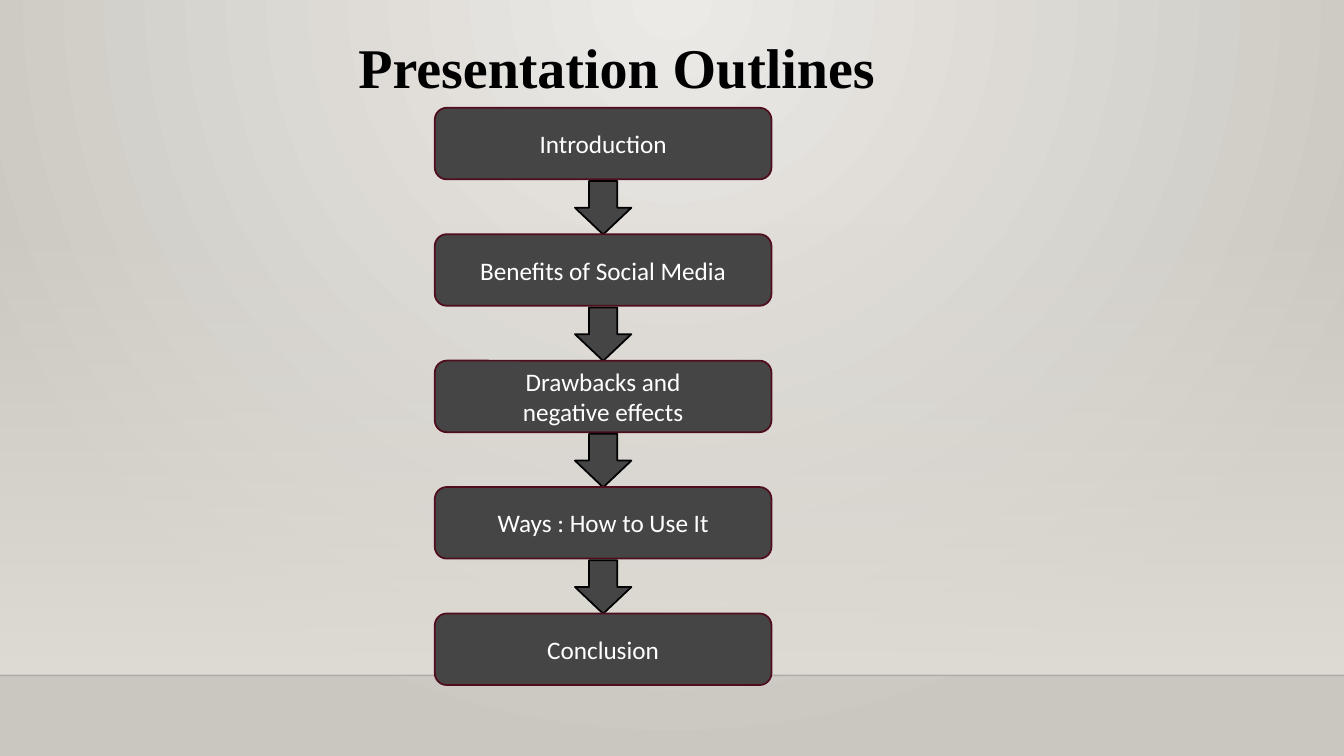
from lxml import etree
from pptx import Presentation
from pptx.dml.color import RGBColor
from pptx.enum.shapes import MSO_CONNECTOR, MSO_SHAPE
from pptx.enum.text import MSO_ANCHOR, PP_ALIGN
from pptx.oxml import parse_xml
from pptx.oxml.ns import qn
from pptx.util import Pt

TITLE = "Presentation Outlines"
STEPS = [
    ["Introduction"],
    ["Benefits of Social Media"],
    ["Drawbacks and", "negative effects"],
    ["Ways : How to Use It"],
    ["Conclusion"],
]

THEME = {
    "title_font": "Times New Roman",
    "step_font": "Calibri",
    "title_size": 40,
    "step_size": 18,
    "outline": 1.25,
    "title": "000000",
    "step_text": "FFFFFF",
    "step_fill": "454545",
    "step_line": "500D1D",
    "arrow_line": "000000",
    "floor_line": "000001",
    "wall": "DFDBD5",
    "backdrop": ("ECEAE7", "CAC7C1"),
}

RECTANGLE = MSO_SHAPE.RECTANGLE
ROUNDED = MSO_SHAPE.ROUNDED_RECTANGLE
DOWN_ARROW = MSO_SHAPE.DOWN_ARROW
STRAIGHT = MSO_CONNECTOR.STRAIGHT
MIDDLE = MSO_ANCHOR.MIDDLE
CENTER = PP_ALIGN.CENTER
LEFT = PP_ALIGN.LEFT

SLIDE_WIDTH, SLIDE_HEIGHT = 960, 540
WALL_TOP, FLOOR_TOP = 159, 482.4
STEP_LEFT, STEP_TOP = 310.6, 77
STEP_WIDTH, STEP_HEIGHT = 240.5, 51.1
STEP_PITCH = 90.3
ARROW_WIDTH, ARROW_HEIGHT, ARROW_OFFSET = 40.3, 38.2, 52.3
NAMESPACES = (
    'xmlns:a="http://schemas.openxmlformats.org/drawingml/2006/main" '
    'xmlns:p="http://schemas.openxmlformats.org/presentationml/2006/main"'
)


def gradient(stops, direction):
    stop_xml = "".join(
        f'<a:gs pos="{position}"><a:srgbClr val="{color}">'
        f'<a:alpha val="{alpha}"/></a:srgbClr></a:gs>'
        for position, color, alpha in stops
    )
    return (f'<a:gradFill {NAMESPACES} rotWithShape="1">'
            f"<a:gsLst>{stop_xml}</a:gsLst>{direction}</a:gradFill>")


def set_background(slide):
    inner, outer = THEME["backdrop"]
    fill = gradient(
        [(0, inner, 100000), (100000, outer, 100000)],
        '<a:path path="circle"><a:fillToRect l="43000" t="0" r="43000" b="100000"/></a:path>',
    )
    background = parse_xml(f"<p:bg {NAMESPACES}><p:bgPr>{fill}<a:effectLst/></p:bgPr></p:bg>")
    slide.element.cSld.insert(0, background)


def add_block(slide, kind, left, top, width, height, line_color):
    shape = slide.shapes.add_shape(kind, Pt(left), Pt(top), Pt(width), Pt(height))
    shape.shadow.inherit = False
    shape.fill.solid()
    shape.fill.fore_color.rgb = RGBColor.from_string(THEME["step_fill"])
    shape.line.color.rgb = RGBColor.from_string(line_color)
    shape.line.width = Pt(THEME["outline"])
    return shape


def write(shape, lines, font, size, color, alignment, bold=False):
    frame = shape.text_frame
    frame.word_wrap = True
    frame.text = "\n".join(lines)
    for paragraph in frame.paragraphs:
        paragraph.alignment = alignment
        paragraph.font.name = font
        paragraph.font.size = Pt(size)
        paragraph.font.bold = bold
        paragraph.font.color.rgb = RGBColor.from_string(color)


def add_room(slide):
    wall = slide.shapes.add_shape(
        RECTANGLE, 0, Pt(WALL_TOP), Pt(SLIDE_WIDTH), Pt(FLOOR_TOP - WALL_TOP))
    wall.shadow.inherit = False
    wall.line.fill.background()
    wall.fill.background()
    properties = wall.element.spPr
    fill = parse_xml(gradient(
        [(0, THEME["wall"], 0), (100000, THEME["wall"], 100000)],
        '<a:lin ang="5400000" scaled="0"/>',
    ))
    properties.replace(properties.find(qn("a:noFill")), fill)

    floor = slide.shapes.add_connector(
        STRAIGHT, 0, Pt(FLOOR_TOP), Pt(SLIDE_WIDTH), Pt(FLOOR_TOP))
    floor.line.width = Pt(1)
    floor.line.color.rgb = RGBColor.from_string(THEME["floor_line"])
    properties = floor.element.spPr
    color = next(properties.iter(qn("a:srgbClr")))
    etree.SubElement(color, qn("a:alpha")).set("val", "20000")
    etree.SubElement(properties, qn("a:effectLst"))


def add_steps(slide):
    arrow_left = STEP_LEFT + (STEP_WIDTH - ARROW_WIDTH) / 2
    for index, lines in enumerate(STEPS):
        top = STEP_TOP + index * STEP_PITCH
        step = add_block(slide, ROUNDED, STEP_LEFT, top, STEP_WIDTH, STEP_HEIGHT,
                         THEME["step_line"])
        step.text_frame.vertical_anchor = MIDDLE
        write(step, lines, THEME["step_font"], THEME["step_size"], THEME["step_text"], CENTER)
        if index < len(STEPS) - 1:
            add_block(slide, DOWN_ARROW, arrow_left, top + ARROW_OFFSET,
                      ARROW_WIDTH, ARROW_HEIGHT, THEME["arrow_line"])


def main():
    presentation = Presentation()
    presentation.slide_width = Pt(SLIDE_WIDTH)
    presentation.slide_height = Pt(SLIDE_HEIGHT)
    slide = presentation.slides.add_slide(presentation.slide_layouts[6])
    set_background(slide)
    add_room(slide)
    title = slide.shapes.add_textbox(Pt(249), Pt(20), Pt(391), Pt(55.5))
    write(title, [TITLE], THEME["title_font"], THEME["title_size"], THEME["title"], LEFT, True)
    add_steps(slide)
    presentation.save("out.pptx")


if __name__ == "__main__":
    main()
